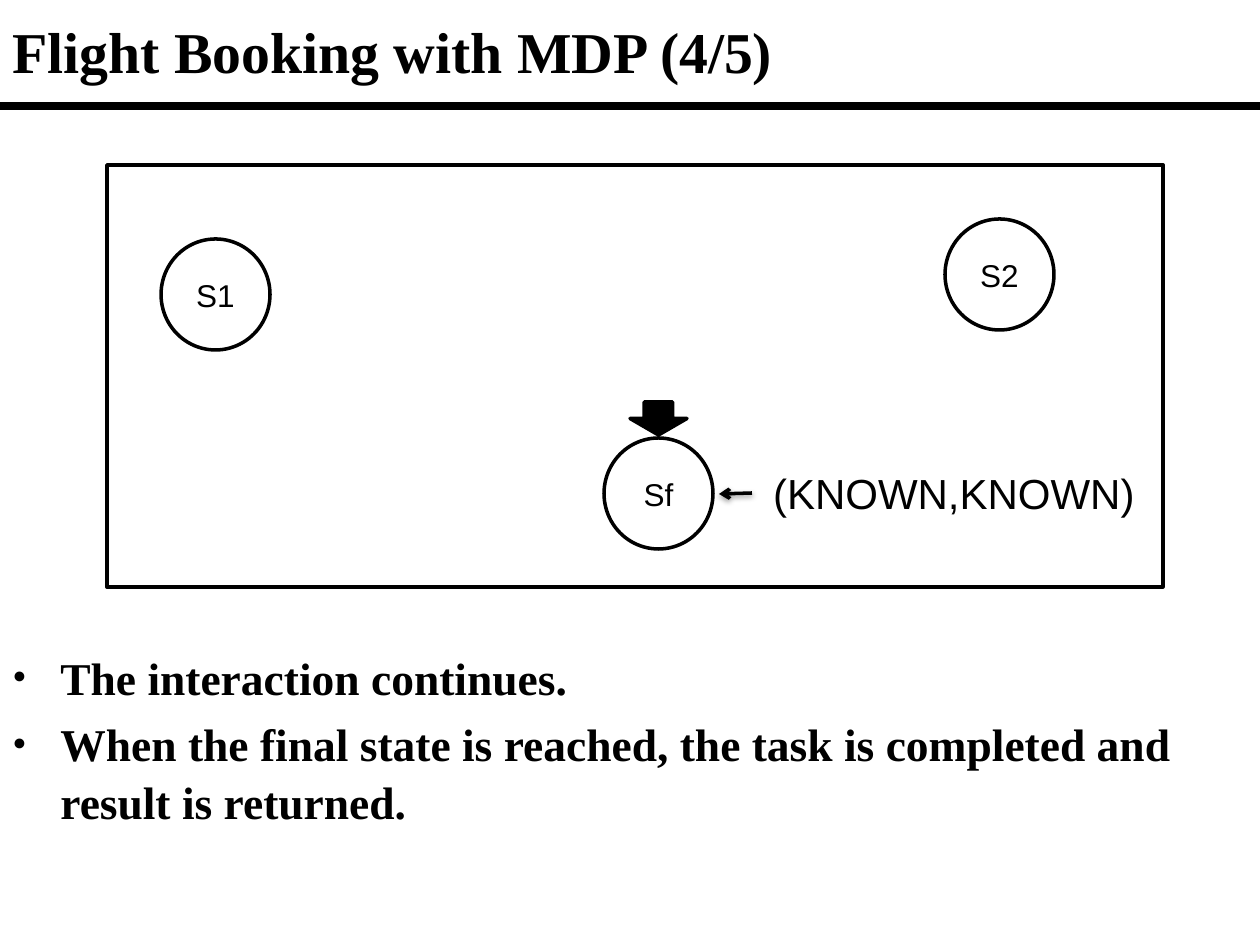
"""Build the flight booking slide showing the final state of the MDP."""
import pptx
import pptx.dml.color
import pptx.enum.shapes
import pptx.enum.text
import pptx.oxml
import pptx.util

PX = 914400 / 126
NS = 'xmlns:a="http://schemas.openxmlformats.org/drawingml/2006/main"'
SHAPE = pptx.enum.shapes.MSO_SHAPE
CENTER = pptx.enum.text.PP_ALIGN.CENTER
MIDDLE = pptx.enum.text.MSO_ANCHOR.MIDDLE


def rgb(color):
    return pptx.dml.color.RGBColor.from_string(color)


def style_text(p, font, size, bold=False):
    for r in p.runs:
        r.font.name = font
        r.font.size = pptx.util.Pt(size)
        r.font.bold = bold
        r.font.color.rgb = rgb("000000")


prs = pptx.Presentation()
prs.slide_width = round(1260 * PX)
prs.slide_height = round(945 * PX)
s = prs.slides.add_slide(prs.slide_layouts[6])

shapes = [
    (SHAPE.RECTANGLE, 107, 165, 1056, 422, "FFFFFF", 2, "", 18),
    (SHAPE.OVAL, 161, 239, 109, 111, "FFFFFF", 2, "S1", 18),
    (SHAPE.OVAL, 604, 438, 109, 111, "FFFFFF", 2, "Sf", 18),
    (SHAPE.OVAL, 945, 219, 109, 111, "FFFFFF", 2, "S2", 18),
    (SHAPE.DOWN_ARROW, 630, 402, 57, 33, "000000", 2, "", 18),
    (SHAPE.RECTANGLE, 752, 461, 404, 63, "FFFFFF", 0, "(KNOWN,KNOWN)", 24),
]
for kind, x, y, w, h, fill, line, text, size in shapes:
    sp = s.shapes.add_shape(kind, *[round(v * PX) for v in (x, y, w, h)])
    sp.shadow.inherit = False
    sp.fill.solid()
    sp.fill.fore_color.rgb = rgb(fill)
    if line:
        sp.line.color.rgb = rgb("000000")
        sp.line.width = pptx.util.Pt(line)
    else:
        sp.line.fill.background()
    if text:
        tf = sp.text_frame
        tf.text = text
        tf.vertical_anchor = MIDDLE
        tf.word_wrap = False
        tf.paragraphs[0].alignment = CENTER
        style_text(tf.paragraphs[0], "Arial", size)

shadow = ('<a:outerShdw blurRad="39370" dist="20320" dir="5400000" rotWithShape="0">'
          '<a:srgbClr val="000000"><a:alpha val="38000"/></a:srgbClr></a:outerShdw>')
lines = [
    (0, 106, 1260, 106, 4.5, "none", ""),
    (752, 493, 719, 494, 2, "arrow", shadow),
]
for x1, y1, x2, y2, width, tail, effect in lines:
    c = s.shapes.add_connector(pptx.enum.shapes.MSO_CONNECTOR.STRAIGHT,
                               *[round(v * PX) for v in (x1, y1, x2, y2)])
    c.line.color.rgb = rgb("000000")
    c.line.width = pptx.util.Pt(width)
    c.line._get_or_add_ln().append(pptx.oxml.parse_xml(f'<a:tailEnd {NS} type="{tail}"/>'))
    c._element.spPr.append(pptx.oxml.parse_xml(f"<a:effectLst {NS}>{effect}</a:effectLst>"))

title = s.shapes.add_textbox(0, 0, prs.slide_width, round(100 * PX))
tf = title.text_frame
tf.word_wrap = True
tf.vertical_anchor = MIDDLE
tf.text = "Flight Booking with MDP (4/5)"
style_text(tf.paragraphs[0], "Times New Roman", 33, True)

body = s.shapes.add_textbox(0, round(641 * PX), prs.slide_width, round(189 * PX))
tf = body.text_frame
tf.word_wrap = True
tf.text = ("The interaction continues.\n"
           "When the final state is reached, the task is completed and result is returned.")
for p in tf.paragraphs:
    p.space_before = pptx.util.Pt(5.2)
    p.line_spacing = 1.05
    style_text(p, "Times New Roman", 26, True)
    pPr = p._p.get_or_add_pPr()
    pPr.set("marL", str(round(48 * PX)))
    pPr.set("indent", str(round(-48 * PX)))
    for bullet in ('buSzPct {} val="90000"', 'buFont {} typeface="Times New Roman"',
                   'buChar {} char="•"'):
        pPr.append(pptx.oxml.parse_xml(f"<a:{bullet.format(NS)}/>"))

prs.save("out.pptx")
